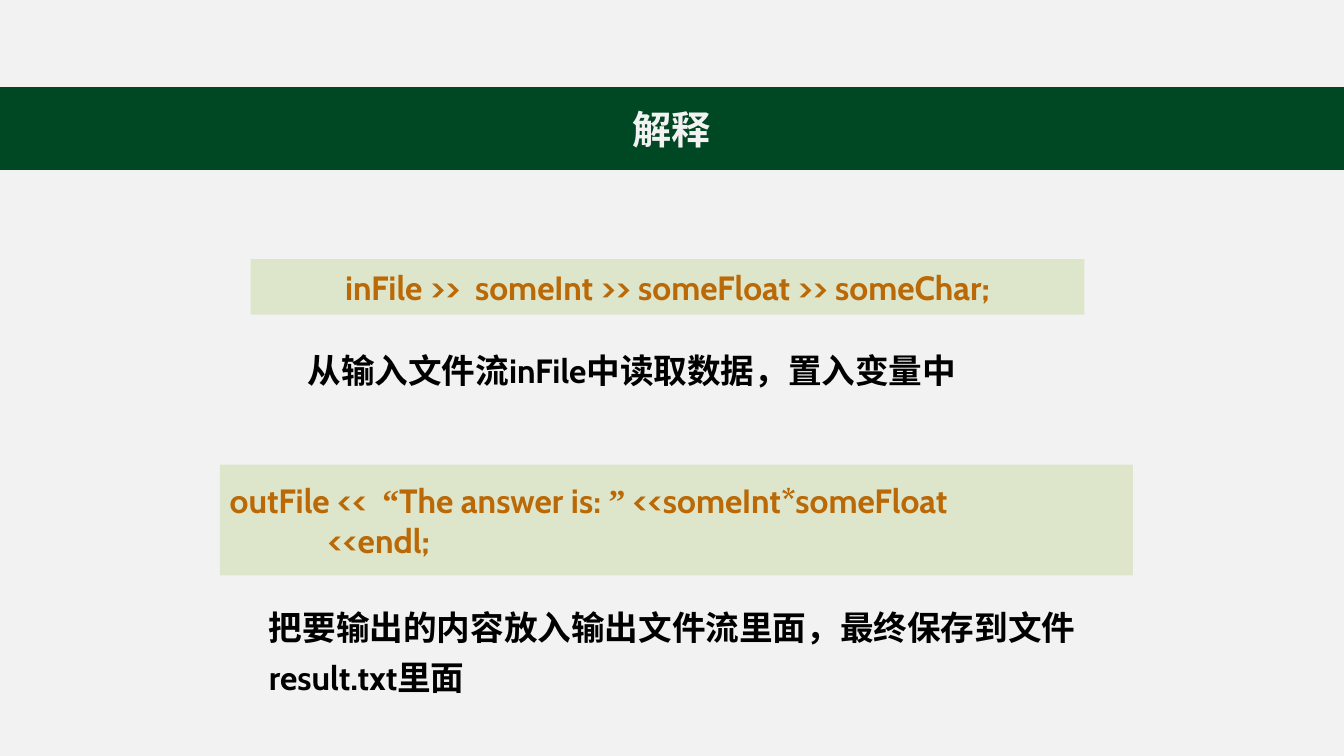
from lxml import etree
from pptx import Presentation
from pptx.dml.color import RGBColor
from pptx.enum import shapes, text
from pptx.oxml import ns
from pptx.util import Cm, Pt

PAPER = RGBColor(0xF2, 0xF2, 0xF2)
BAND = RGBColor(0x00, 0x47, 0x23)
PANEL = RGBColor(0x8A, 0xB8, 0x33)
CODE = RGBColor(0xBA, 0x69, 0x06)
BLACK = RGBColor(0, 0, 0)
LATIN, CHINESE, QUOTES = "Cabin", "Noto Sans CJK SC", "Times New Roman"
LEFT, CENTER = text.PP_ALIGN.LEFT, text.PP_ALIGN.CENTER
PANEL_OPACITY = "20000"

SLIDE_SIZE = (33.87, 19.05)
TITLE = {
    "lines": ["解释"], "box": (0, 2.21, 33.87, 2.06),
    "font": {"size": Pt(28), "bold": True, "name": CHINESE}, "color": PAPER,
    "paragraph": {"alignment": CENTER},
}
BODY_FONT = {"size": Pt(24), "bold": True, "name": LATIN}
EXPLANATIONS = [
    {"lines": ["从输入文件流inFile中读取数据，置入变量中"],
     "box": (6.53, 8.53, 20.8, 1.6), "indent": 0.97,
     "paragraph": {"alignment": LEFT}},
    {"lines": ["把要输出的内容放入输出文件流里面，最终保存到文件", "result.txt里面"],
     "box": (6.53, 15.11, 20.8, 2.39), "indent": 0,
     "paragraph": {"alignment": LEFT, "line_spacing": 1.25}},
]
STATEMENTS = [
    {"lines": ["inFile >>  someInt >> someFloat >> someChar;"],
     "box": (6.32, 6.53, 21.01, 1.4), "paragraph": {"alignment": CENTER}},
    {"lines": ["outFile <<  “The answer is: ” <<someInt*someFloat",
               "             <<endl;"],
     "box": (5.54, 11.71, 23.01, 2.79), "paragraph": {"alignment": LEFT}},
]


def apply(target, values):
    for name, value in values.items():
        setattr(target, name, value)


def split_quotes(line):
    pieces = line.replace("“", "\n“\n").replace("”", "\n”\n").split("\n")
    return [piece for piece in pieces if piece]


def write(shape, item, font, color, wrap):
    frame = shape.text_frame
    apply(frame, {"word_wrap": wrap, "vertical_anchor": text.MSO_ANCHOR.MIDDLE,
                  "auto_size": text.MSO_AUTO_SIZE.NONE})
    for index, line in enumerate(item["lines"]):
        paragraph = frame.add_paragraph() if index else frame.paragraphs[0]
        apply(paragraph, item["paragraph"])
        if item.get("indent"):
            paragraph._p.get_or_add_pPr().set("marL", str(Cm(item["indent"])))
        for piece in split_quotes(line):
            run = paragraph.add_run()
            run.text = piece
            apply(run.font, font)
            run.font.color.rgb = color
            east_asian = CHINESE
            if piece in "“”":
                run.font.name = east_asian = QUOTES
            properties = run._r.get_or_add_rPr()
            etree.SubElement(properties, ns.qn("a:ea"), typeface=east_asian)


def add_title(slide):
    title = slide.shapes.title
    names = ("left", "top", "width", "height")
    apply(title, dict(zip(names, map(Cm, TITLE["box"]))))
    title.fill.solid()
    title.fill.fore_color.rgb = BAND
    title.line.color.rgb = BAND
    title.line.width = Pt(1)
    write(title, TITLE, TITLE["font"], TITLE["color"], True)


def add_explanation(slide, item):
    box = slide.shapes.add_textbox(*map(Cm, item["box"]))
    write(box, item, BODY_FONT, BLACK, False)


def add_statement(slide, item):
    panel = slide.shapes.add_shape(shapes.MSO_SHAPE.RECTANGLE, *map(Cm, item["box"]))
    panel.shadow.inherit = False
    panel.fill.solid()
    panel.fill.fore_color.rgb = PANEL
    panel.line.fill.background()
    color = panel._element.spPr.find(ns.qn("a:solidFill"))[0]
    etree.SubElement(color, ns.qn("a:alpha"), val=PANEL_OPACITY)
    write(panel, item, BODY_FONT, CODE, False)


def main():
    presentation = Presentation()
    presentation.slide_width, presentation.slide_height = map(Cm, SLIDE_SIZE)
    slide = presentation.slides.add_slide(presentation.slide_layouts[5])
    slide.background.fill.solid()
    slide.background.fill.fore_color.rgb = PAPER
    add_title(slide)
    for explanation, statement in zip(EXPLANATIONS, STATEMENTS):
        add_explanation(slide, explanation)
        add_statement(slide, statement)
    presentation.save("out.pptx")


if __name__ == "__main__":
    main()
